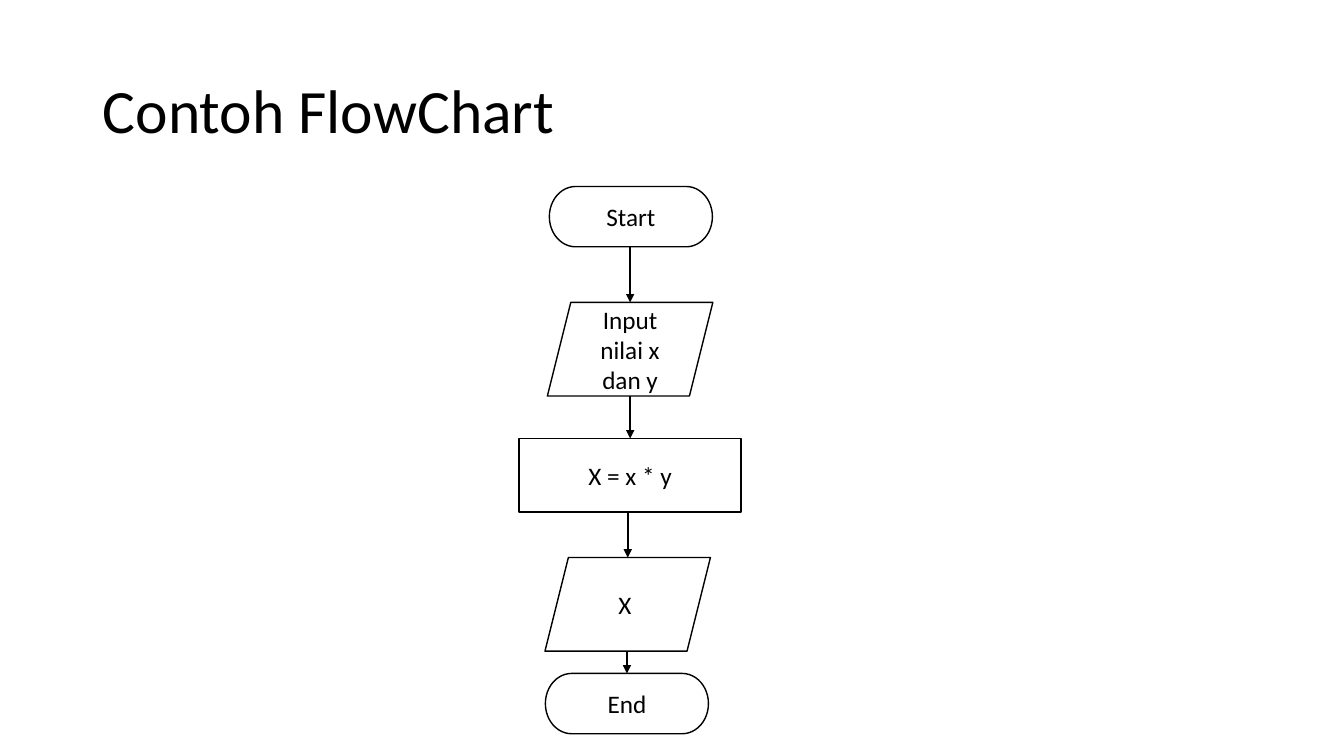
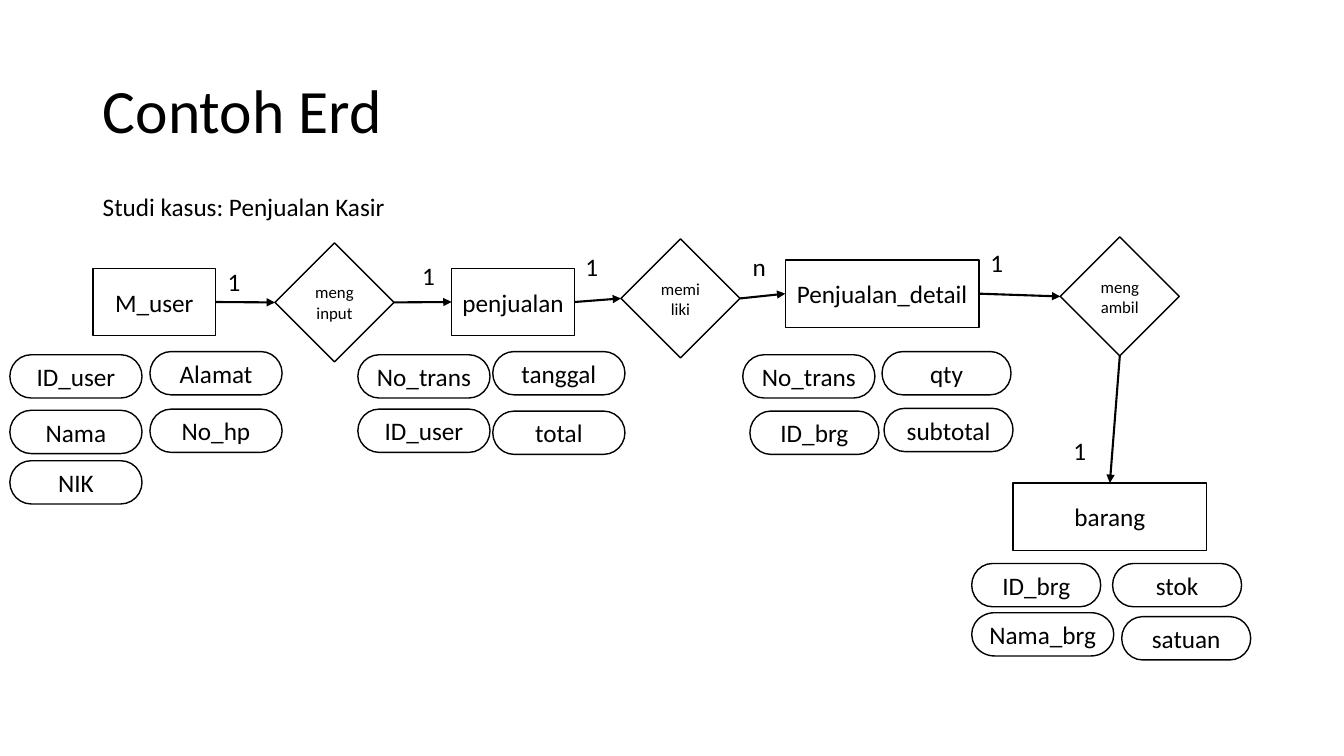
"""Build two slides: a flowchart example and an entity relationship diagram."""
from dataclasses import dataclass
from itertools import pairwise

from lxml.etree import SubElement
from pptx import Presentation
from pptx.dml.color import RGBColor
from pptx.enum.shapes import MSO_CONNECTOR, MSO_SHAPE
from pptx.enum.text import MSO_ANCHOR, PP_ALIGN
from pptx.oxml.ns import qn
from pptx.util import Cm, Pt


@dataclass(frozen=True)
class Theme:
    font: str = "Calibri"
    ink: RGBColor = RGBColor(0, 0, 0)
    paper: RGBColor = RGBColor(255, 255, 255)
    title: int = 44
    body: int = 18
    small: int = 12
    outline: float = 1
    arrow: float = 1.5


THEME = Theme()
TOP, LEFT, BOTTOM, RIGHT = range(4)
TITLE_BOX = (2.34, 1.02, 29.21, 3.68)

STEP_KINDS = {
    "terminal": (MSO_SHAPE.FLOWCHART_TERMINATOR, 4.11, 1.52),
    "data": (MSO_SHAPE.PARALLELOGRAM, 4.17, 2.36),
    "process": (MSO_SHAPE.RECTANGLE, 5.59, 1.85),
}
STEPS = [
    ("Start", "terminal", 15.9, 4.7),
    ("Input nilai x dan y", "data", 15.88, 7.62),
    ("X = x * y", "process", 15.88, 11.05),
    ("X ", "data", 15.82, 14.05),
    ("End", "terminal", 15.8, 16.97),
]

CASE = ("Studi kasus: Penjualan Kasir", (2.34, 4.7, 7.7, 1.02))
ENTITY_HEIGHT, ATTRIBUTE_HEIGHT, RELATION_SIZE = 1.7, 1.09, 3
ENTITIES = {
    "M_user": (2.34, 6.76, 3.1),
    "penjualan": (11.38, 6.76, 3.1),
    "Penjualan_detail": (19.79, 6.55, 4.88),
    "barang": (25.53, 12.17, 4.88),
}
ATTRIBUTES = [
    ("ID_user", 0.25, 8.94, 3.33),
    ("Nama", 0.25, 10.34, 3.33),
    ("NIK", 0.25, 11.61, 3.33),
    ("Alamat", 3.78, 8.86, 3.33),
    ("No_hp", 3.78, 10.31, 3.33),
    ("No_trans", 9.02, 8.94, 3.33),
    ("ID_user", 9.02, 10.31, 3.33),
    ("tanggal", 12.42, 8.86, 3.33),
    ("total", 12.42, 10.36, 3.33),
    ("No_trans", 18.72, 8.94, 3.33),
    ("ID_brg", 18.9, 10.36, 3.25),
    ("qty", 22.23, 8.86, 3.25),
    ("subtotal", 22.28, 10.29, 3.25),
    ("ID_brg", 24.49, 14.2, 3.25),
    ("Nama_brg", 24.49, 15.44, 3.58),
    ("stok", 28.04, 14.2, 3.25),
    ("satuan", 28.27, 15.54, 3.25),
]
RELATIONS = [
    ("menginput", 6.93, 6.12, "M_user", "penjualan", RIGHT, LEFT),
    ("memiliki", 15.65, 6.02, "penjualan", "Penjualan_detail", RIGHT, LEFT),
    ("mengambil", 26.72, 5.97, "Penjualan_detail", "barang", BOTTOM, TOP),
]
CARDINALITIES = [
    ("1", 5.49, 6.58),
    ("1", 10.39, 6.43),
    ("1", 14.5, 6.22),
    ("n", 18.72, 6.22),
    ("1", 24.71, 6.12),
    ("1", 26.8, 10.85),
]


def write(shape, text, *, size=THEME.body, align=PP_ALIGN.LEFT,
          anchor=MSO_ANCHOR.TOP, wrap=True, spacing=None):
    frame = shape.text_frame
    frame.word_wrap = wrap
    frame.vertical_anchor = anchor
    paragraph = frame.paragraphs[0]
    paragraph.alignment = align
    paragraph.line_spacing = spacing
    run = paragraph.add_run()
    run.text = text
    run.font.name = THEME.font
    run.font.size = Pt(size)
    run.font.color.rgb = THEME.ink


def add_label(slide, text, box, **style):
    write(slide.shapes.add_textbox(*map(Cm, box)), text, **style)


def add_node(slide, kind, text, box, size=THEME.body):
    node = slide.shapes.add_shape(kind, *map(Cm, box))
    node.shadow.inherit = False
    node.fill.solid()
    node.fill.fore_color.rgb = THEME.paper
    node.line.color.rgb = THEME.ink
    node.line.width = Pt(THEME.outline)
    write(node, text, size=size, align=PP_ALIGN.CENTER, anchor=MSO_ANCHOR.MIDDLE)
    return node


def add_arrow(slide, start=(0, 0), end=(0, 0)):
    arrow = slide.shapes.add_connector(MSO_CONNECTOR.STRAIGHT, *start, *end)
    arrow.line.color.rgb = THEME.ink
    arrow.line.width = Pt(THEME.arrow)
    SubElement(arrow.line._get_or_add_ln(), qn("a:tailEnd"), type="triangle")
    SubElement(arrow._element.spPr, qn("a:effectLst"))
    return arrow


def join(slide, source, source_side, target, target_side):
    arrow = add_arrow(slide)
    arrow.begin_connect(source, source_side)
    arrow.end_connect(target, target_side)


def add_titled_slide(deck, title):
    slide = deck.slides.add_slide(deck.slide_layouts[6])
    add_label(slide, title, TITLE_BOX, size=THEME.title,
              anchor=MSO_ANCHOR.MIDDLE, spacing=0.9)
    return slide


def build_flowchart(deck):
    slide = add_titled_slide(deck, "Contoh FlowChart")
    nodes = []
    for text, step, center, top in STEPS:
        kind, width, height = STEP_KINDS[step]
        box = (center - width / 2, top, width, height)
        nodes.append(add_node(slide, kind, text, box))
    for upper, lower in pairwise(nodes):
        center = lower.left + lower.width // 2
        add_arrow(slide, (center, upper.top + upper.height), (center, lower.top))


def build_erd(deck):
    slide = add_titled_slide(deck, "Contoh Erd")
    add_label(slide, *CASE, wrap=False)
    entities = {
        name: add_node(slide, MSO_SHAPE.RECTANGLE, name, (*place, ENTITY_HEIGHT))
        for name, place in ENTITIES.items()
    }
    for text, *place in ATTRIBUTES:
        add_node(slide, MSO_SHAPE.FLOWCHART_TERMINATOR, text,
                 (*place, ATTRIBUTE_HEIGHT))
    for text, left, top, source, target, exit_side, entry_side in RELATIONS:
        relation = add_node(slide, MSO_SHAPE.DIAMOND, text,
                            (left, top, RELATION_SIZE, RELATION_SIZE), THEME.small)
        join(slide, entities[source], RIGHT, relation, LEFT)
        join(slide, relation, exit_side, entities[target], entry_side)
    for text, left, top in CARDINALITIES:
        add_label(slide, text, (left, top, 0.84, 1.02), wrap=False)


def main():
    deck = Presentation()
    deck.slide_width, deck.slide_height = Cm(33.87), Cm(19.05)
    build_flowchart(deck)
    build_erd(deck)
    deck.save("out.pptx")


if __name__ == "__main__":
    main()
